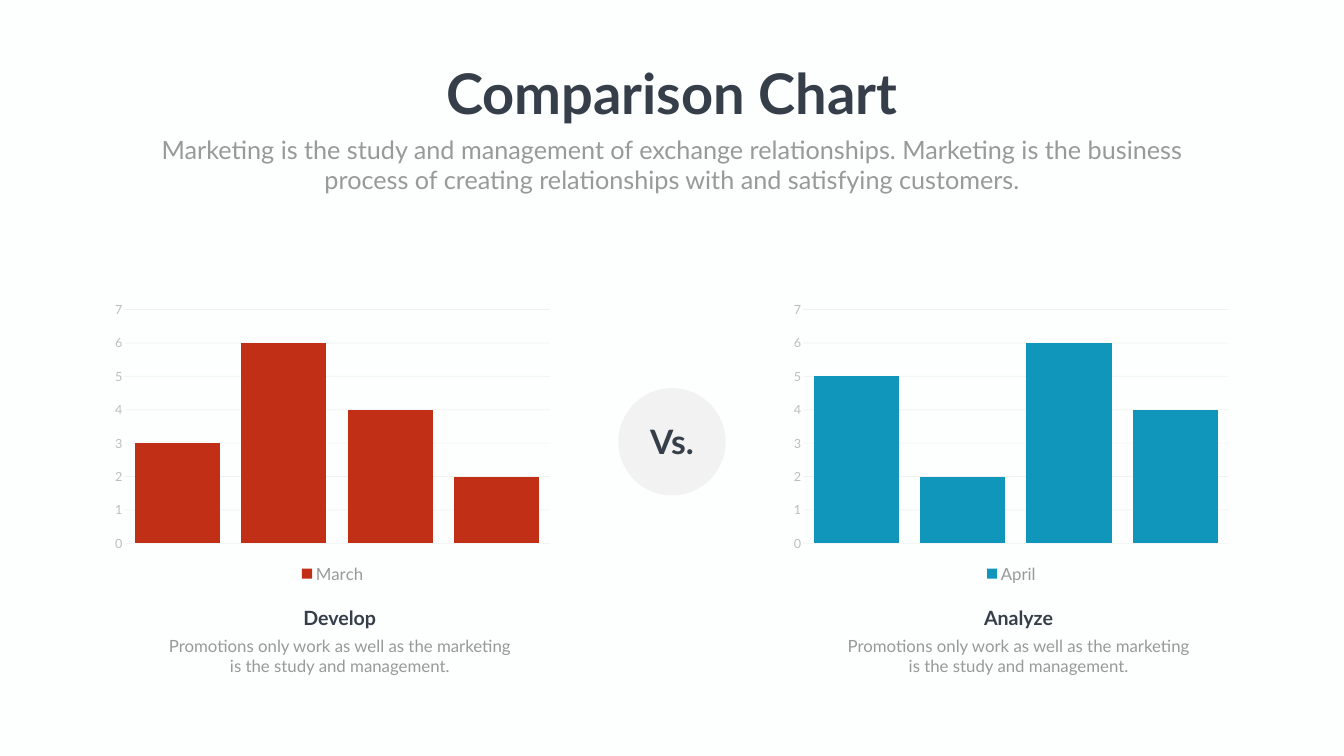
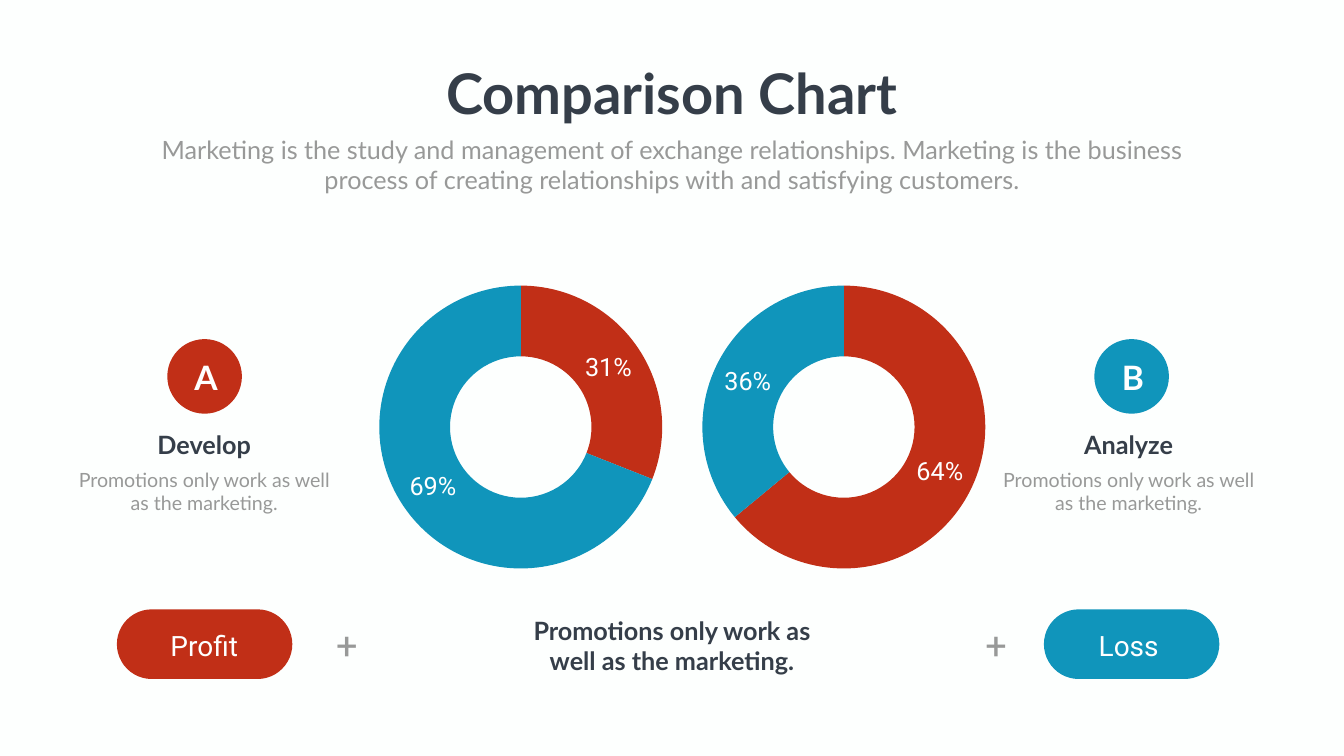
from lxml import etree
from pptx import Presentation
from pptx.chart.data import CategoryChartData
from pptx.dml.color import RGBColor
from pptx.enum.chart import XL_CHART_TYPE, XL_LEGEND_POSITION, XL_TICK_MARK
from pptx.enum.shapes import MSO_SHAPE
from pptx.enum.text import MSO_ANCHOR, MSO_AUTO_SIZE, PP_ALIGN
from pptx.oxml.ns import qn
from pptx.util import Cm, Pt

COLUMNS = XL_CHART_TYPE.COLUMN_STACKED
DOUGHNUT = XL_CHART_TYPE.DOUGHNUT
LEGEND_BOTTOM = XL_LEGEND_POSITION.BOTTOM
NO_TICK = XL_TICK_MARK.NONE
CIRCLE = MSO_SHAPE.OVAL
PILL = MSO_SHAPE.ROUNDED_RECTANGLE
CENTER = PP_ALIGN.CENTER
TOP = MSO_ANCHOR.TOP
GROW = MSO_AUTO_SIZE.SHAPE_TO_FIT_TEXT

COLORS = {
    "background": "FDFFFE",
    "dark": "353E49",
    "gray": "989998",
    "axis": "BCBDBC",
    "grid": "808080",
    "disc": "F2F2F2",
    "red": "C12F17",
    "blue": "1095BB",
    "white": "FFFFFF",
}

SLIDE_WIDTH, SLIDE_HEIGHT = 67.72, 38.1
MIDDLE = SLIDE_WIDTH / 2

TITLE = "Comparison Chart"
SUBTITLE = (
    "Marketing is the study and management of exchange relationships. "
    "Marketing is the business process of creating relationships with "
    "and satisfying customers."
)
MONTH_CAPTION = "Promotions only work as well as the marketing is the study and management."
SHORT_CAPTION = "Promotions only work as well as the marketing."

MONTHS = [
    {"name": "March", "values": [3, 6, 4, 2], "color": "red",
     "heading": "Develop", "center": 17.12},
    {"name": "April", "values": [5, 2, 6, 4], "color": "blue",
     "heading": "Analyze", "center": 51.32},
]
OPTIONS = [
    {"letter": "A", "heading": "Develop", "result": "Profit", "color": "red",
     "shares": [31, 69], "center": 10.31, "text_center": 10.29,
     "plus_center": 17.48, "ring_center": 26.24},
    {"letter": "B", "heading": "Analyze", "result": "Loss", "color": "blue",
     "shares": [64, 36], "center": 57.02, "text_center": 56.87,
     "plus_center": 50.19, "ring_center": 42.52},
]
SHARE_COLORS = ["red", "blue"]

COLUMN_PLOT = {"x": 0.04, "y": 0.045, "w": 0.94, "h": 0.804}
RING_PLOT = {"x": 0.053, "y": 0.023, "w": 0.894, "h": 0.953}


def rgb(color):
    return RGBColor.from_string(COLORS[color])


def centered(center, top, width, height):
    return Cm(center - width / 2), Cm(top), Cm(width), Cm(height)


def set_font(font, size, color, name="Lato", bold=False):
    font.size = Pt(size)
    font.name = name
    font.bold = bold
    font.color.rgb = rgb(color)


def write(shape, text, size, color, name="Lato", bold=False, wrap=True):
    frame = shape.text_frame
    frame.text = text
    frame.word_wrap = wrap
    frame.auto_size = GROW
    frame.vertical_anchor = TOP
    paragraph = frame.paragraphs[0]
    paragraph.alignment = CENTER
    paragraph.space_before = Pt(0)
    set_font(paragraph.font, size, color, name, bold)


def add_text(slide, box, text, size, color, name="Lato", bold=False):
    write(slide.shapes.add_textbox(*box), text, size, color, name, bold)


def add_filled(slide, preset, box, color):
    shape = slide.shapes.add_shape(preset, *box)
    shape.shadow.inherit = False
    shape.fill.solid()
    shape.fill.fore_color.rgb = rgb(color)
    shape.line.fill.background()
    return shape


def add_slide(prs):
    slide = prs.slides.add_slide(prs.slide_layouts[0])
    title, subtitle = slide.placeholders
    title.left, title.top, title.width, title.height = centered(MIDDLE, 2.84, 23.65, 3.68)
    write(title, TITLE, 80, "dark", bold=True, wrap=False)
    subtitle.left, subtitle.top, subtitle.width, subtitle.height = centered(
        MIDDLE, 6.63, 52.88, 3.33)
    write(subtitle, SUBTITLE, 36, "gray")
    return slide


def place_plot(chart, plot_box):
    area = chart._chartSpace.find(".//" + qn("c:plotArea"))
    for old in area.findall(qn("c:layout")):
        area.remove(old)
    layout = etree.Element(qn("c:layout"))
    manual = etree.SubElement(layout, qn("c:manualLayout"))
    settings = {"layoutTarget": "inner", "xMode": "edge", "yMode": "edge", **plot_box}
    for tag, value in settings.items():
        etree.SubElement(manual, qn("c:" + tag)).set("val", str(value))
    area.insert(0, layout)


def add_chart(slide, kind, box, name, values, plot_box):
    data = CategoryChartData()
    data.categories = [str(i + 1) for i in range(len(values))]
    data.add_series(name, values)
    chart = slide.shapes.add_chart(kind, *box, data).chart
    chart.has_title = False
    chart.has_legend = False
    place_plot(chart, plot_box)
    return chart


def add_month_chart(slide, month):
    box = centered(month["center"] - 0.36, 14.94, 22.81, 14.66)
    chart = add_chart(slide, COLUMNS, box, month["name"], month["values"], COLUMN_PLOT)
    set_font(chart.font, 18, "gray")
    chart.has_legend = True
    chart.legend.position = LEGEND_BOTTOM
    chart.legend.include_in_layout = False
    set_font(chart.legend.font, 24, "gray")

    plot = chart.plots[0]
    plot.vary_by_categories = False
    plot.gap_width = 25
    plot.overlap = 100
    fill = plot.series[0].format.fill
    fill.solid()
    fill.fore_color.rgb = rgb(month["color"])

    chart.category_axis.visible = False
    axis = chart.value_axis
    axis.minimum_scale, axis.maximum_scale, axis.major_unit = 0, 7, 1
    axis.major_tick_mark = axis.minor_tick_mark = NO_TICK
    axis.format.line.fill.background()
    set_font(axis.tick_labels.font, 18, "axis")
    axis.has_major_gridlines = True
    grid = axis.major_gridlines.format.line
    grid.width = Pt(1)
    grid.color.rgb = rgb("grid")
    for color in chart._chartSpace.xpath(".//c:majorGridlines//a:srgbClr"):
        etree.SubElement(color, qn("a:alpha")).set("val", "10000")


def add_share_ring(slide, option):
    box = centered(option["ring_center"], 14.05, 15.95, 14.96)
    chart = add_chart(slide, DOUGHNUT, box, "Series 1", option["shares"], RING_PLOT)
    set_font(chart.font, 10, "gray", "Calibri")
    plot = chart.plots[0]
    plot.vary_by_categories = True
    for index, color in enumerate(SHARE_COLORS):
        part = plot.series[0].points[index].format
        part.fill.solid()
        part.fill.fore_color.rgb = rgb(color)
        part.line.fill.background()
    plot.has_data_labels = True
    labels = plot.data_labels
    labels.show_value = False
    labels.show_percentage = True
    labels.number_format = "0%"
    labels.number_format_is_linked = False
    set_font(labels.font, 36, "white", "Roboto")


def build_months(prs):
    slide = add_slide(prs)
    for month in MONTHS:
        center = month["center"]
        add_month_chart(slide, month)
        add_text(slide, centered(center, 31.9, 17.98, 2.31), MONTH_CAPTION, 24, "gray")
        add_text(slide, centered(center, 30.43, 5.59, 1.45), month["heading"], 28, "dark",
                 bold=True)
    add_filled(slide, CIRCLE, centered(MIDDLE, 19.56, 5.41, 5.41), "disc")
    add_text(slide, centered(MIDDLE, 21.11, 4.01, 2.31), "Vs.", 48, "dark", bold=True)


def build_options(prs):
    slide = add_slide(prs)
    for option in OPTIONS:
        center, text_center = option["center"], option["text_center"]
        add_share_ring(slide, option)
        add_text(slide, centered(text_center, 23.44, 13.4, 2.64), SHORT_CAPTION, 28, "gray")
        add_text(slide, centered(text_center, 21.51, 10.34, 1.8), option["heading"], 36,
                 "dark", bold=True)
        add_filled(slide, CIRCLE, centered(center, 17.09, 3.76, 3.76), option["color"])
        add_text(slide, centered(center + 0.07, 17.86, 2.26, 2.31), option["letter"], 48,
                 "white", bold=True)
        pill = add_filled(slide, PILL, centered(center, 30.71, 8.84, 3.51), option["color"])
        pill.adjustments[0] = 0.5
        add_text(slide, centered(text_center, 31.55, 8.53, 1.96), option["result"], 40,
                 "white", "Roboto")
        add_text(slide, centered(option["plus_center"], 31.22, 3, 2.57), "+", 54, "gray",
                 "Roboto")
    add_text(slide, centered(MIDDLE, 30.89, 15.24, 3.33), SHORT_CAPTION, 36, "dark", bold=True)


def main():
    prs = Presentation()
    prs.slide_width, prs.slide_height = Cm(SLIDE_WIDTH), Cm(SLIDE_HEIGHT)
    background = prs.slide_master.background.fill
    background.solid()
    background.fore_color.rgb = rgb("background")
    build_months(prs)
    build_options(prs)
    prs.save("out.pptx")


if __name__ == "__main__":
    main()
